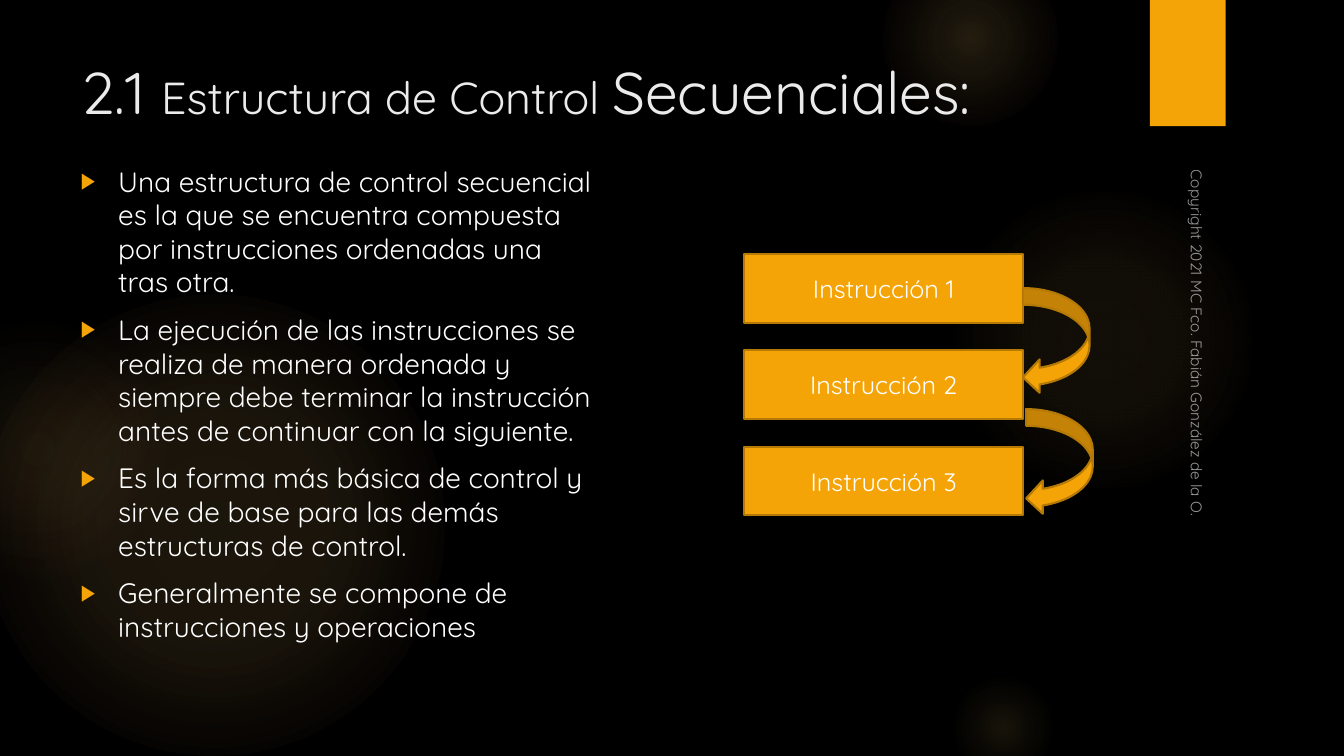
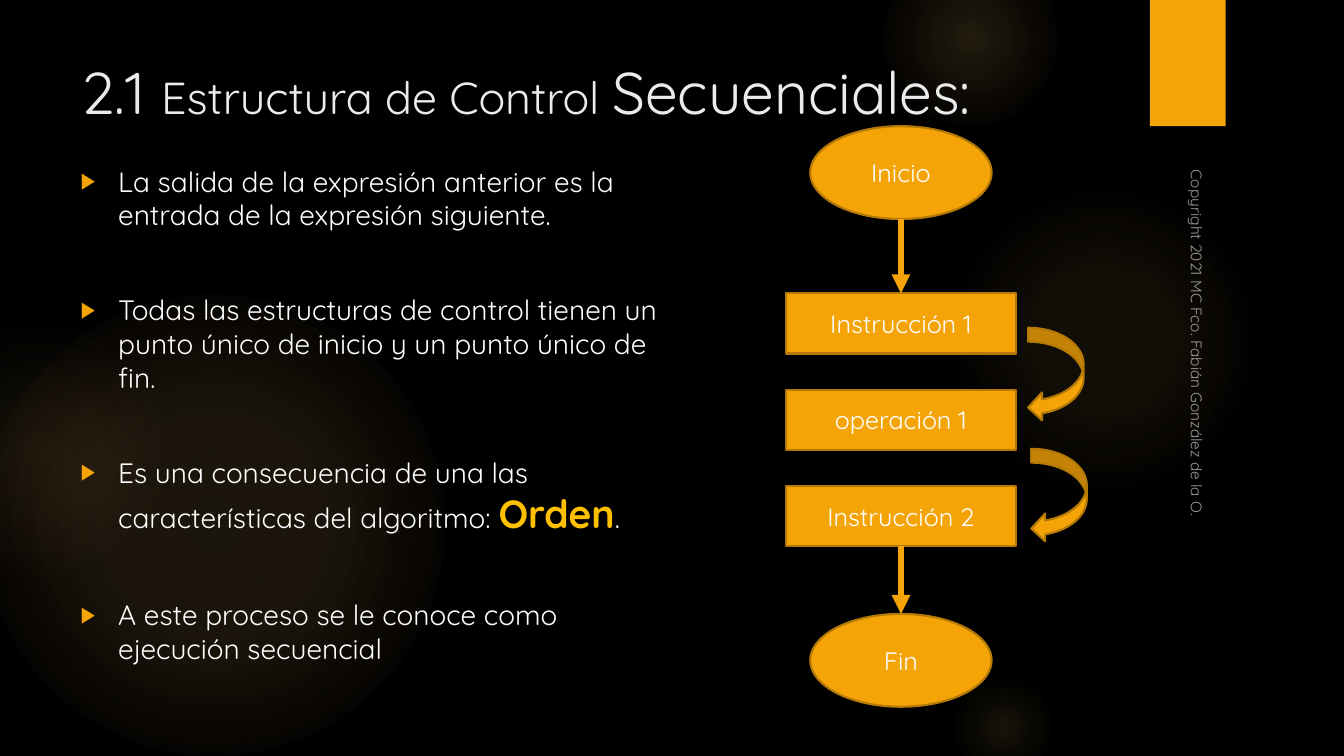
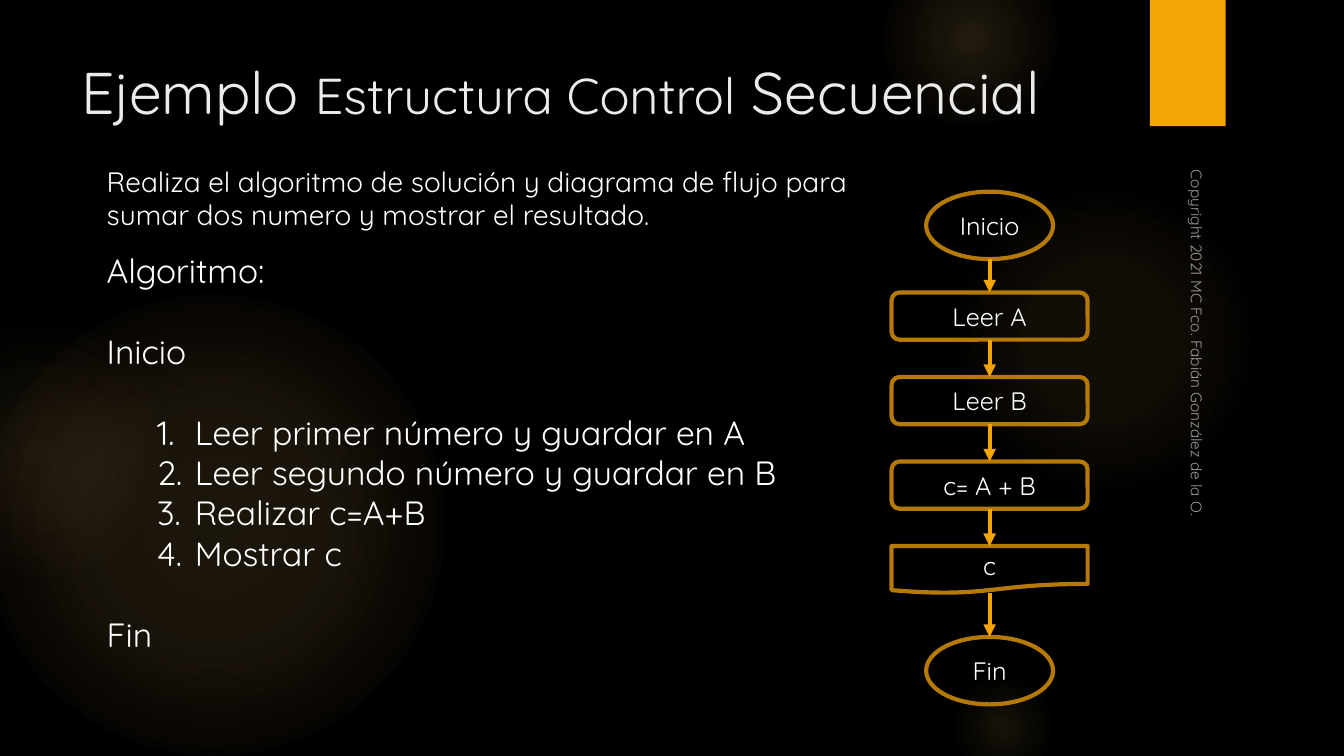
from lxml.etree import SubElement
from pptx import Presentation
from pptx.dml.color import RGBColor
from pptx.enum.shapes import MSO_CONNECTOR as Wire, MSO_SHAPE as Kind
from pptx.enum.text import MSO_ANCHOR as Anchor, MSO_AUTO_SIZE as Fit, PP_ALIGN as Align
from pptx.oxml import parse_xml
from pptx.oxml.ns import nsdecls, qn
from pptx.util import Cm, Pt

# Shared look
FONT = "Quicksand"
WHITE, PALE, GOLD, RUST, GLOW = "FFFFFF", "EBEBEB", "F5A408", "B57906", "FAC96A"
hue = RGBColor.from_string
HANG = str(Cm(0.95))


def write(frame, lines, tint=WHITE, size=20, **form):
    """Fill a frame; a line is a list of (text, font values) runs."""
    frame.word_wrap = True
    for n, line in enumerate(lines):
        para = frame.add_paragraph() if n else frame.paragraphs[0]
        for key, val in form.items():
            setattr(para, key, val)
        for text, look in line:
            run = para.add_run()
            run.text = text
            run.font.color.rgb = hue(tint)
            for key, val in {"name": FONT, "size": Pt(size), **look}.items():
                setattr(run.font, key, val)
    return frame.paragraphs


def draw(slide, kind, place, text="", fill=None, edge=None, width=1.5):
    """Add a preset shape with centred text; place is in centimetres."""
    shape = slide.shapes.add_shape(kind, *map(Cm, place))
    shape.shadow.inherit = False
    for part, tint in ((shape.fill, fill), (shape.line.fill, edge)):
        if tint:
            part.solid()
            part.fore_color.rgb = hue(tint)
        else:
            part.background()
    if edge:
        shape.line.width = Pt(width)
    if text:
        write(shape.text_frame, [[(text, {})]], size=18, alignment=Align.CENTER)
    return shape


deck = Presentation()
deck.slide_width, deck.slide_height = Cm(33.87), Cm(19.05)
back = deck.slide_master.background.fill
back.solid()
back.fore_color.rgb = hue("000000")

# Title style on the layout
layout = deck.slide_layouts[5]
head = layout.placeholders[0]
spot = {"left": Cm(1.8), "top": Cm(1.27), "width": Cm(26.14), "height": Cm(2.11)}
for key, val in spot.items():
    setattr(head, key, val)
head.text_frame.vertical_anchor = Anchor.TOP
head.text_frame.auto_size = Fit.NONE

# Slides and their titles
topic = [("2.1 ", 42), ("Estructura de Control ", 32), ("Secuenciales:", 42)]
sample = [("Ejemplo ", 42), ("Estructura Control", 36), (" Secuencial", 42)]
slides = []
for title in (topic, topic, sample):
    slide = deck.slides.add_slide(layout)
    runs = [(text, {"size": Pt(size)}) for text, size in title]
    write(slide.shapes.title.text_frame, [runs], PALE, alignment=Align.LEFT)
    slides.append(slide)
first, second, third = slides

# Glows: left, top, size, then stops as (percent, colour, alpha)
glows = [
    (-0.43, 7.42, 11.63, [(0, GLOW, 11), (36, GLOW, 10), (75, GLOW, 0)]),
    (-2.34, 8.05, 6.55, [(0, GLOW, 8), (36, GLOW, 5), (71, "F59B74", 0)]),
    (23.9, 4.65, 7.82, [(0, GLOW, 7), (36, GLOW, 6), (69, GLOW, 0)]),
    (22.23, -1.27, 4.45, [(0, GLOW, 14), (36, GLOW, 7), (73, GLOW, 0)]),
    (23.9, 16.94, 2.74, [(0, GLOW, 10), (31, GLOW, 5), (66, GLOW, 0)]),
]
decor = []
for left, top, size, stops in glows:
    glow = draw(first, Kind.OVAL, (left, top, size, size), fill=GLOW)
    marks = "".join(
        f'<a:gs pos="{at * 1000}"><a:srgbClr val="{tint}">'
        f'<a:alpha val="{alpha * 1000}"/></a:srgbClr></a:gs>'
        for at, tint, alpha in stops)
    glow.element.spPr[2] = parse_xml(
        f'<a:gradFill {nsdecls("a")}><a:gsLst>{marks}</a:gsLst><a:path path="circle">'
        '<a:fillToRect l="50000" t="50000" r="50000" b="50000"/></a:path></a:gradFill>')
    decor.append(glow)

# Corner tab and upright copyright line
decor.append(draw(first, Kind.RECTANGLE, (28.98, 0, 1.91, 3.18), fill=GOLD))
credit = first.shapes.add_textbox(*map(Cm, (24.87, 8.97, 10.72, 0.84)))
credit.rotation = 90
credit.text_frame.vertical_anchor = Anchor.BOTTOM
write(credit.text_frame, [[("Copyright 2021 MC Fco. Fabián González de la O.", {})]], size=11)
for tint in credit.element.iter(qn("a:srgbClr")):
    SubElement(tint, qn("a:alpha"), val="60000")
decor.append(credit)

# The layout carries the decor for all slides
for n, item in enumerate(decor):
    item.element.nvSpPr.cNvPr.set("id", str(20 + n))
    layout.shapes.element.insert(2 + n, item.element)

# Bulleted text
order = {"size": Pt(28), "bold": True}
rules = [
    [("Una estructura de control secuencial es la que se encuentra compuesta por "
      "instrucciones ordenadas una tras otra.", {})],
    [("La ejecución de las instrucciones se realiza de manera ordenada y siempre debe "
      "terminar la instrucción antes de continuar con la siguiente.", {})],
    [("Es la forma más básica de control y sirve de base para las demás estructuras "
      "de control.", {})],
    [("Generalmente se compone de instrucciones y operaciones", {})],
]
traits = [
    [("La salida de la expresión anterior es la entrada de la expresión siguiente.", {})],
    [("Todas las estructuras de control tienen un punto único de inicio y un punto "
      "único de fin.", {})],
    [("Es una consecuencia de una las características del algoritmo: ", {}),
     ("Orden", order), (".", {})],
    [("A este proceso se le conoce como ejecución secuencial", {})],
]
for slide, lines, width, high, gap in (
        (first, rules, 13.46, 13.77, 6), (second, traits, 15.52, 13.06, 40)):
    box = slide.shapes.add_textbox(*map(Cm, (1.78, 4.01, width, high)))
    for para in write(box.text_frame, lines, space_before=Pt(4), space_after=Pt(gap)):
        props = para._p.get_or_add_pPr()
        props.set("marL", HANG)
        props.set("indent", "-" + HANG)
        SubElement(SubElement(props, qn("a:buClr")), qn("a:srgbClr"), val=GOLD)
        SubElement(props, qn("a:buSzPct"), val="80000")
        SubElement(props, qn("a:buFont"), typeface="Arial")
        SubElement(props, qn("a:buChar"), char="▶")
        for run in para.runs:
            if run.font.bold:
                run.font.color.rgb = hue("FFC000")

# Task and algorithm of the example
task = third.shapes.add_textbox(*map(Cm, (2.44, 4.01, 19.58, 2.13)))
write(task.text_frame, [[("Realiza el algoritmo de solución y diagrama de flujo para "
                          "sumar dos numero y mostrar el resultado.", {})]])
plan = third.shapes.add_textbox(*map(Cm, (2.44, 6.17, 18.44, 10.52)))
steps = ["Leer primer número y guardar en A", "Leer segundo número y guardar en B",
         "Realizar c=A+B", "Mostrar c"]
words = ["Algoritmo:", "Inicio", *steps, "Fin"]
for para in write(plan.text_frame, [[(word, {})] for word in words], size=24):
    if para.text in steps:
        props = para._p.get_or_add_pPr()
        props.set("marL", str(Cm(2.22)))
        props.set("indent", "-" + HANG)
        SubElement(props, qn("a:buFont"), typeface="+mj-lt")
        SubElement(props, qn("a:buAutoNum"), type="arabicPeriod")
    if para.text in ("Algoritmo:", "Inicio", steps[-1]):
        para.space_after = Pt(29)

# Instruction stacks with curved arrows
solid = {"fill": GOLD, "edge": RUST}
stacks = [
    (first, ["Instrucción 1", "Instrucción 2", "Instrucción 3"],
     (18.75, 6.4, 7.04, 1.73), (25.78, 7.26, 1.68, 2.67)),
    (second, ["Instrucción 1", "operación 1", "Instrucción 2"],
     (19.81, 7.39, 5.79, 1.52), (25.91, 8.26, 1.4, 2.36)),
]
for slide, names, (left, top, width, high), (x, y, wide, tall) in stacks:
    stack = [draw(slide, Kind.RECTANGLE, (left, top + 2.43 * n, width, high), name, **solid)
             for n, name in enumerate(names)]
    for n in range(2):
        draw(slide, Kind.CURVED_LEFT_ARROW, (x + 0.08 * n, y + 3.05 * n, wide, tall), **solid)

# Start and end of the second slide
start, end = [draw(second, Kind.OVAL, (20.42, top, 4.57, 2.34), name, **solid)
              for name, top in (("Inicio", 3.18), ("Fin", 15.47))]
links = [(second, start, stack[0], 4.5), (second, stack[-1], end, 4.5)]

# Flowchart of the example
line = {"edge": RUST, "width": 3}
flow = [draw(third, Kind.OVAL, (23.34, 4.83, 3.2, 1.7), "Inicio", **line)]
for n, name in enumerate(["Leer A", "Leer B", "c= A + B", "c"]):
    kind = Kind.FLOWCHART_DOCUMENT if name == "c" else Kind.ROUNDED_RECTANGLE
    flow.append(draw(third, kind, (22.47, 7.37 + 2.13 * n, 4.94, 1.19), name, **line))
flow.append(draw(third, Kind.OVAL, (23.34, 16.05, 3.2, 1.7), "Fin", **line))
links += [(third, a, b, 3) for a, b in zip(flow, flow[1:])]

# Arrows from each shape down to the next
for slide, a, b, width in links:
    mid = a.left + a.width // 2
    arrow = slide.shapes.add_connector(Wire.STRAIGHT, mid, a.top + a.height, mid, b.top)
    if a.auto_shape_type != Kind.OVAL:
        arrow.begin_connect(a, 2)
    if b.auto_shape_type != Kind.OVAL:
        arrow.end_connect(b, 0)
    arrow.line.color.rgb = hue(GOLD)
    arrow.line.width = Pt(width)
    props = arrow.element.spPr
    SubElement(props.get_or_add_ln(), qn("a:tailEnd"), type="triangle")
    SubElement(props, qn("a:effectLst"))

deck.save("out.pptx")
